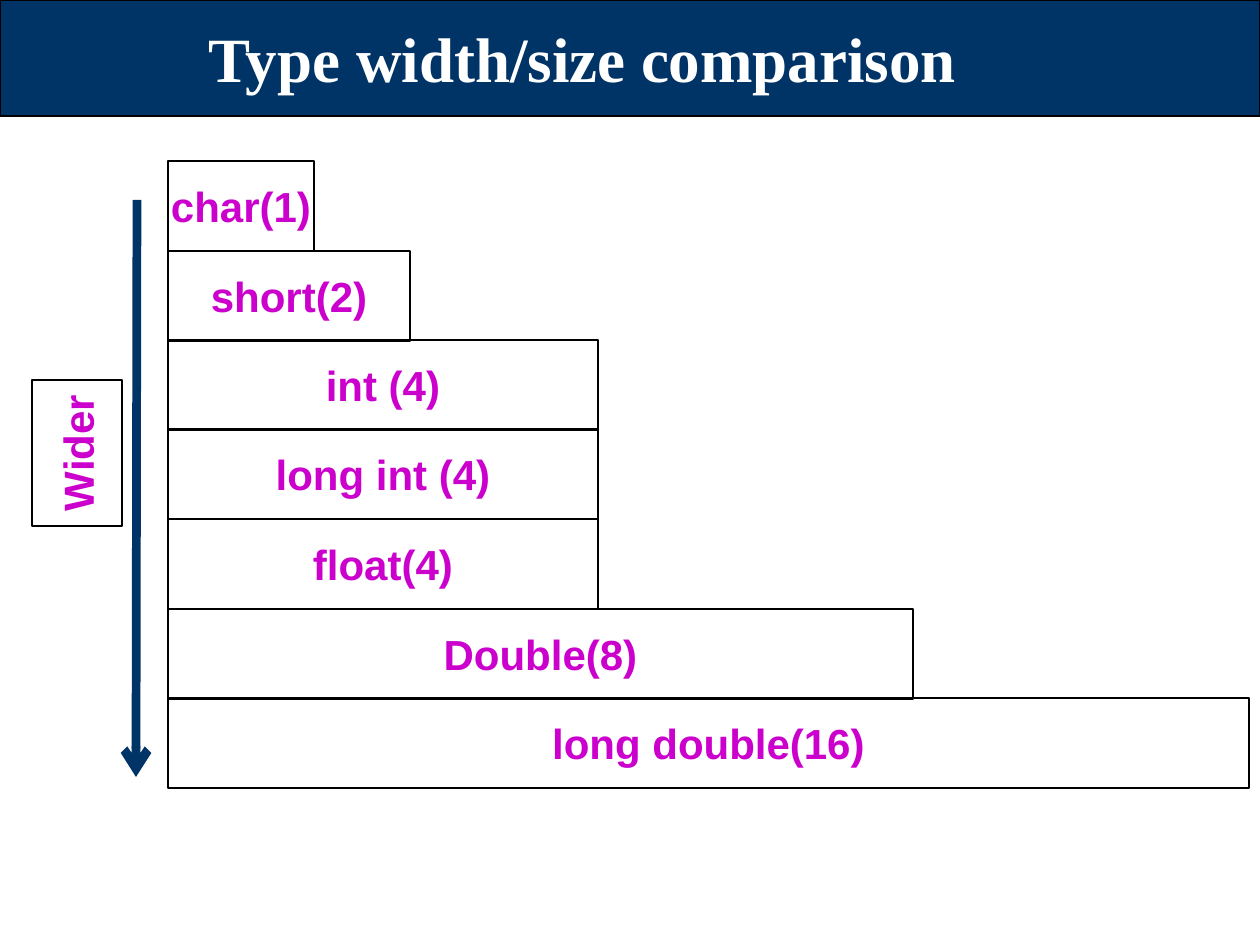
from dataclasses import dataclass

from lxml import etree
from pptx import Presentation
from pptx.dml.color import RGBColor
from pptx.enum.shapes import MSO_CONNECTOR, MSO_SHAPE
from pptx.enum.text import MSO_ANCHOR, PP_ALIGN
from pptx.oxml.ns import qn
from pptx.slide import Slide
from pptx.util import Emu, Pt

RECTANGLE = MSO_SHAPE.RECTANGLE
STRAIGHT = MSO_CONNECTOR.STRAIGHT
MIDDLE = MSO_ANCHOR.MIDDLE
CENTER = PP_ALIGN.CENTER

NAVY = RGBColor(0x00, 0x33, 0x66)
MAGENTA = RGBColor(0xCC, 0x00, 0xCC)
WHITE = RGBColor(0xFF, 0xFF, 0xFF)
BLACK = RGBColor(0x00, 0x00, 0x00)

PX_PER_INCH = 126
BAR_LEFT = 168
BAR_TOP = 161
BAR_STEP = 89.5
BOX_HEIGHT = 90


@dataclass
class TypeBar:
    label: str
    width: int


TYPE_BARS = [
    TypeBar("char(1)", 146),
    TypeBar("short(2)", 242),
    TypeBar("int (4)", 430),
    TypeBar("long int (4)", 430),
    TypeBar("float(4)", 430),
    TypeBar("Double(8)", 745),
    TypeBar("long double(16)", 1081),
]


def px(length: int) -> Emu:
    return Emu(round(length * 914400 / PX_PER_INCH))


def write_text(shape, text: str, font_name: str, size: int, color: RGBColor, wrap: bool) -> None:
    frame = shape.text_frame
    frame.word_wrap = wrap
    frame.vertical_anchor = MIDDLE
    paragraph = frame.paragraphs[0]
    paragraph.text = text
    paragraph.alignment = CENTER
    paragraph.font.name = font_name
    paragraph.font.size = Pt(size)
    paragraph.font.bold = True
    paragraph.font.color.rgb = color


def add_rectangle(slide: Slide, left: int, top: int, width: int, height: int):
    shape = slide.shapes.add_shape(RECTANGLE, px(left), px(top), px(width), px(height))
    shape.shadow.inherit = False
    shape.fill.background()
    shape.line.color.rgb = BLACK
    shape.line.width = Pt(0.75)
    return shape


def add_label_box(slide: Slide, text: str, left: int, top: int, width: int, rotation: int = 0) -> None:
    shape = add_rectangle(slide, left, top, width, BOX_HEIGHT)
    shape.rotation = rotation
    write_text(shape, text, "Arial", 24, MAGENTA, wrap=False)


def add_title(slide: Slide, text: str) -> None:
    banner = add_rectangle(slide, 0, 0, 1260, 116)
    banner.fill.solid()
    banner.fill.fore_color.rgb = NAVY
    title = slide.shapes.add_textbox(px(31), px(10), px(1103), px(95))
    write_text(title, text, "Times New Roman", 36, WHITE, wrap=True)


def add_arrow(slide: Slide, start_x: int, start_y: int, end_x: int, end_y: int) -> None:
    arrow = slide.shapes.add_connector(STRAIGHT, px(start_x), px(start_y), px(end_x), px(end_y))
    arrow.line.color.rgb = NAVY
    arrow.line.width = Pt(5)
    etree.SubElement(arrow.line._get_or_add_ln(), qn("a:tailEnd"), type="arrow")
    etree.SubElement(arrow._element.spPr, qn("a:effectLst"))


def main() -> None:
    presentation = Presentation()
    presentation.slide_width = px(1260)
    presentation.slide_height = px(945)
    slide = presentation.slides.add_slide(presentation.slide_layouts[6])

    add_title(slide, "Type width/size comparison")
    for row, bar in enumerate(TYPE_BARS):
        add_label_box(slide, bar.label, BAR_LEFT, BAR_TOP + round(row * BAR_STEP), bar.width)
    add_arrow(slide, 137, 200, 136, 777)
    add_label_box(slide, "Wider", 4, 408, 146, rotation=270)

    presentation.save("out.pptx")


if __name__ == "__main__":
    main()
